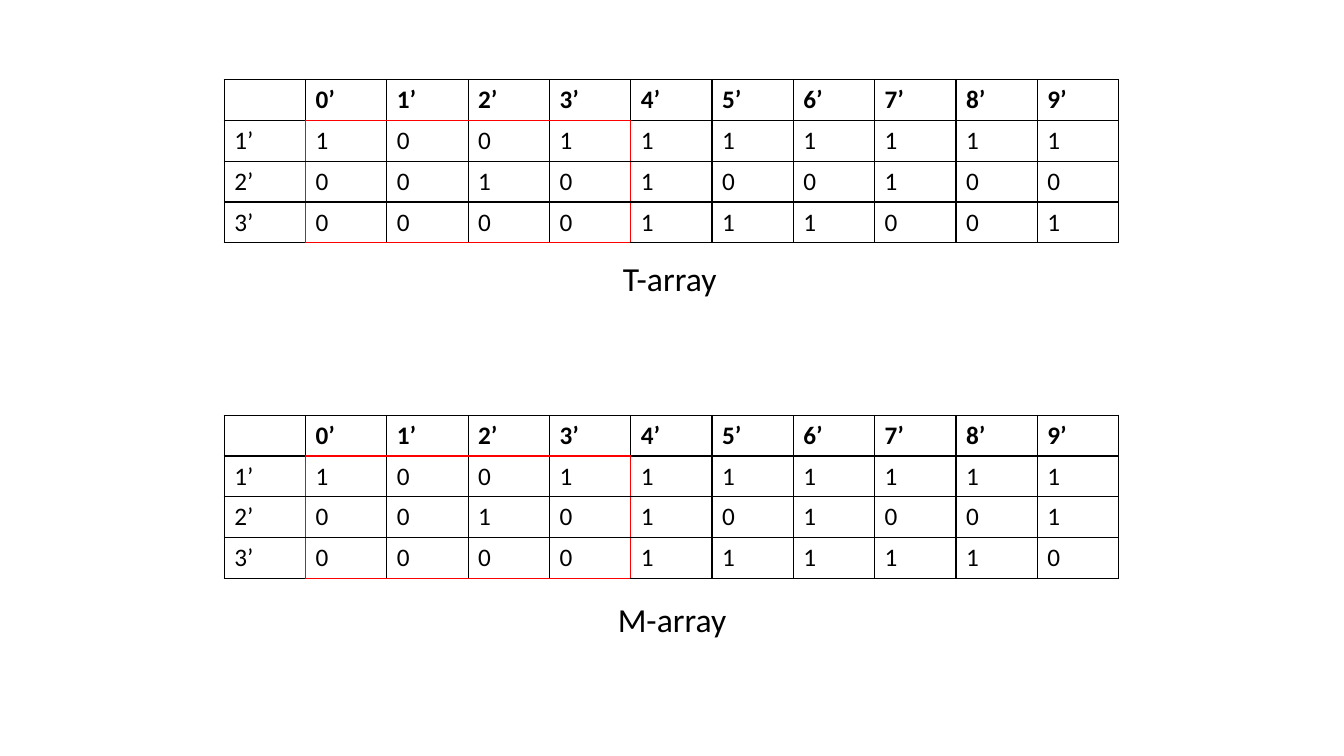
from dataclasses import dataclass

from lxml import etree
from pptx import Presentation
from pptx import util as u
from pptx.dml import color
from pptx.enum import text
from pptx.oxml import ns


@dataclass(frozen=True)
class Theme:
    font: str = "Calibri"
    ink: str = "000000"
    highlight: str = "FF0000"
    cell_size: int = 18
    caption_size: int = 24
    border_width: int = 1


SIDES = {"lnL": (0, -1), "lnR": (0, 1), "lnT": (-1, 0), "lnB": (1, 0)}


def in_marked_block(row, column):
    return 1 <= row <= 3 and 1 <= column <= 4


class SlideBuilder:
    def __init__(self, theme, slide):
        self.theme = theme
        self.slide = slide

    def style_text(self, frame, size, bold=False):
        for para in frame.paragraphs:
            for span in para.runs:
                span.font.name = self.theme.font
                span.font.size = u.Pt(size)
                span.font.bold = bold
                span.font.color.rgb = color.RGBColor.from_string(self.theme.ink)

    def add_border(self, cell, side, hue):
        properties = cell._tc.get_or_add_tcPr()
        line = etree.SubElement(properties, ns.qn(f"a:{side}"),
                                w=str(u.Pt(self.theme.border_width)))
        fill = etree.SubElement(line, ns.qn("a:solidFill"))
        etree.SubElement(fill, ns.qn("a:srgbClr"), val=hue)

    def add_array(self, left, top, column_width, row_height, rows):
        row_count, column_count = len(rows), len(rows[0])
        table = self.slide.shapes.add_table(
            row_count, column_count, u.Cm(left), u.Cm(top),
            u.Cm(column_width * column_count), u.Cm(row_height * row_count)).table
        table.first_row = False
        table.horz_banding = False
        for column in table.columns:
            column.width = u.Cm(column_width)
        for r, values in enumerate(rows):
            table.rows[r].height = u.Cm(row_height)
            for c, value in enumerate(values):
                cell = table.cell(r, c)
                cell.text_frame.text = value
                self.style_text(cell.text_frame, self.theme.cell_size, bold=r == 0)
                for side, (down, right) in SIDES.items():
                    edge = in_marked_block(r, c) != in_marked_block(r + down, c + right)
                    self.add_border(cell, side,
                                    self.theme.highlight if edge else self.theme.ink)
                cell.fill.background()

    def add_caption(self, left, top, width, height, caption):
        box = self.slide.shapes.add_textbox(u.Cm(left), u.Cm(top), u.Cm(width), u.Cm(height))
        frame = box.text_frame
        frame.text = caption
        frame.word_wrap = False
        frame.auto_size = text.MSO_AUTO_SIZE.SHAPE_TO_FIT_TEXT
        self.style_text(frame, self.theme.caption_size)


HEADER = [""] + [f"{number}’" for number in range(10)]
T_ARRAY = ["1001111111", "0010100100", "0000111001"]
M_ARRAY = ["1001111111", "0010101001", "0000111110"]


def array_rows(bits):
    return [HEADER] + [[f"{number}’", *row] for number, row in enumerate(bits, 1)]


deck = Presentation()
deck.slide_width, deck.slide_height = u.Cm(33.87), u.Cm(19.05)
page = SlideBuilder(Theme(), deck.slides.add_slide(deck.slide_layouts[6]))

for top, bits in ((2, T_ARRAY), (10.46, M_ARRAY)):
    page.add_array(5.65, top, 2.05, 1.03, array_rows(bits))

page.add_caption(15.45, 6.38, 2.97, 1.28, "T-array")
page.add_caption(15.32, 14.96, 3.25, 1.28, "M-array")

deck.save("out.pptx")
